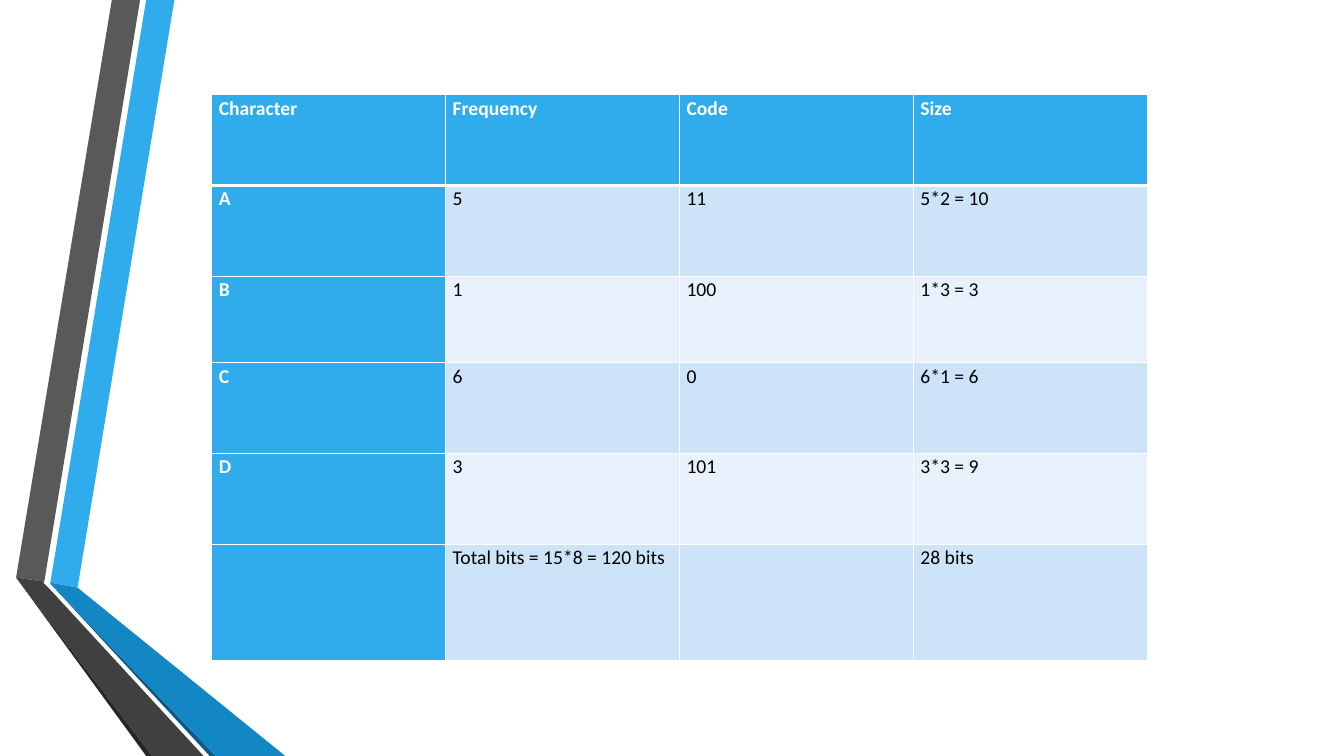
from pptx import Presentation
from pptx import util as u
from pptx.dml.color import RGBColor
from pptx.oxml import parse_xml
from pptx.oxml.ns import nsdecls

PX = 9144  # EMU per px, 100 px to the inch


def px(n):
    return u.Emu(n * PX)


def rgb(value):
    return RGBColor.from_string(value)


class Deck:
    font = "Calibri"
    size = u.Pt(14)
    white, black, accent = "FFFFFF", "000000", "30ACEC"
    bands = ("CDE3F8", "E8F1FB")

    def __init__(self, width, height):
        self.prs = Presentation()
        self.prs.slide_width, self.prs.slide_height = px(width), px(height)
        self.s = self.prs.slides.add_slide(self.prs.slide_layouts[6])

    def paint(self, target, color):
        target.fill.solid()
        target.fill.fore_color.rgb = rgb(color)

    def polygon(self, color, points):
        fb = self.s.shapes.build_freeform(*points[0], scale=PX)
        fb.add_line_segments(points[1:], close=True)
        sp = fb.convert_to_shape()
        self.paint(sp, color)
        sp.line.fill.background()
        sp.shadow.inherit = False

    def border(self, cell, side, points):
        cell._tc.get_or_add_tcPr().append(parse_xml(
            f'<a:ln{side} {nsdecls("a")} w="{u.Pt(points)}"><a:solidFill>'
            f'<a:srgbClr val="{self.white}"/></a:solidFill></a:ln{side}>'))

    def cell(self, cell, value, row, col):
        # Borders go before the fill, with a thick rule under the header
        for side in "LRTB":
            thick = (row, side) in ((0, "B"), (1, "T"))
            self.border(cell, side, 3 if thick else 1)
        heading = row == 0 or col == 0
        self.paint(cell, self.accent if heading else self.bands[(row - 1) % 2])
        margins = {"margin_left": px(7), "margin_right": px(7),
                   "margin_top": 0, "margin_bottom": 0}
        for name, margin in margins.items():
            setattr(cell, name, margin)
        p = cell.text_frame.paragraphs[0]
        p.line_spacing = 1.07
        if not value:
            return
        r = p.add_run()
        r.text = value
        for name, setting in {"name": self.font, "size": self.size, "bold": heading}.items():
            setattr(r.font, name, setting)
        r.font.color.rgb = rgb(self.white if heading else self.black)

    def table(self, left, top, col_width, heights, rows):
        cols = len(rows[0])
        tbl = self.s.shapes.add_table(len(rows), cols, px(left), px(top),
                                      px(col_width * cols), px(sum(heights))).table
        for column in tbl.columns:
            column.width = px(col_width)
        for i, (height, values) in enumerate(zip(heights, rows)):
            tbl.rows[i].height = px(height)
            for j, value in enumerate(values):
                self.cell(tbl.cell(i, j), value, i, j)


RIBBONS = [
    ("30ACEC", [(50, 578), (77, 583), (173, 0), (145, 0)]),
    ("595959", [(139, 0), (111, 0), (16, 573), (44, 577)]),
    ("262626", [(16, 573), (145, 750), (151, 750)]),
    ("0C5A82", [(50, 579), (208, 750), (214, 750)]),
    ("1287C3", [(50, 579), (214, 750), (283, 750), (77, 583), (50, 578)]),
    ("404040", [(202, 750), (48, 583), (43, 578), (44, 577), (16, 573), (151, 750)]),
]
ROWS = [
    ("Character", "Frequency", "Code", "Size"),
    ("A", "5", "11", "5*2 = 10"),
    ("B", "1", "100", "1*3 = 3"),
    ("C", "6", "0", "6*1 = 6"),
    ("D", "3", "101", "3*3 = 9"),
    ("", "Total bits = 15*8 = 120 bits", "", "28 bits"),
]


def main():
    deck = Deck(1333, 750)
    # Folded ribbons on the left
    for color, points in RIBBONS:
        deck.polygon(color, points)
    # Code size table
    deck.table(210, 94, 232, (90, 90, 86, 90, 90, 115), ROWS)
    deck.prs.save("out.pptx")


if __name__ == "__main__":
    main()
